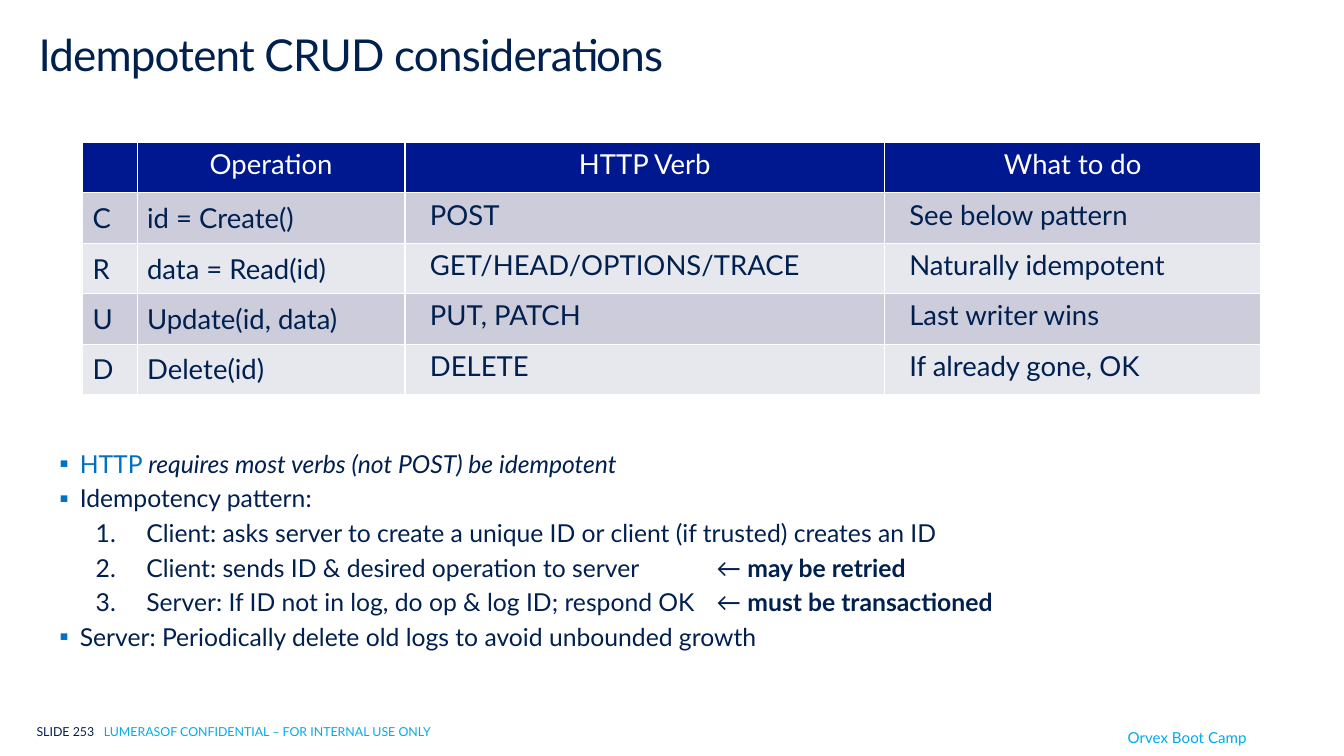
from dataclasses import dataclass

from lxml import etree
from pptx import Presentation
from pptx.dml.color import RGBColor
from pptx.enum.text import MSO_ANCHOR, MSO_AUTO_SIZE, PP_ALIGN
from pptx.oxml.ns import qn
from pptx.util import Cm, Pt

TOP, MID = MSO_ANCHOR.TOP, MSO_ANCHOR.MIDDLE
LEFT, CENTER = PP_ALIGN.LEFT, PP_ALIGN.CENTER
FIXED = MSO_AUTO_SIZE.NONE


@dataclass(frozen=True)
class Theme:
    """Hold the colours, font and type sizes of the slide."""

    font: str = "Lato"
    ink: str = "002050"
    sky: str = "00ABEC"
    link: str = "0070C0"
    mark: str = "0072C6"
    head: str = "00188F"
    white: str = "FFFFFF"
    bands: tuple = ("CCCCDB", "E7E8EE")
    title: float = 32
    cell: float = 20
    body: float = 18
    brand: float = 11
    foot: float = 9


THEME = Theme()

ROWS = (
    ("", "Operation", "HTTP Verb", "What to do"),
    ("C", "id = Create()", "POST", "See below pattern"),
    ("R", "data = Read(id)", "GET/HEAD/OPTIONS/TRACE", "Naturally idempotent"),
    ("U", "Update(id, data)", "PUT, PATCH", "Last writer wins"),
    ("D", "Delete(id)", "DELETE", "If already gone, OK"),
)
WIDTHS = (1.4, 6.88, 12.32, 9.68)

BOLD = {"bold": True}
POINTS = (
    (0, ("HTTP", {"color": THEME.link}),
     (" requires most verbs (not POST) be idempotent", {"italic": True})),
    (0, ("Idempotency pattern:", {})),
    (1, ("Client: asks server to create a unique ID or client (if trusted) creates an ID", {})),
    (1, ("Client: sends ID & desired operation to server\t← ", {}), ("may be retried", BOLD)),
    (1, ("Server: If ID not in log, do op & log ID; respond OK\t← ", {}),
     ("must be transactioned", BOLD)),
    (0, ("Server: Periodically delete old logs to avoid unbounded growth", {})),
)
INDENTS = ((0.53, 0.53), (2.24, 1.3))
STOPS = (14.65, 16.89)


def assign(item, values):
    """Set each attribute in the dict on the item."""
    for name, value in values.items():
        setattr(item, name, value)


def place(shape, box):
    """Move a shape to a box given in centimetres."""
    assign(shape, dict(zip(("left", "top", "width", "height"), map(Cm, box))))


def inset(left, top, right, bottom):
    """Return the four margins as format values."""
    return {"margin_left": Cm(left), "margin_top": Cm(top),
            "margin_right": Cm(right), "margin_bottom": Cm(bottom)}


def write(para, text, size, color=THEME.ink, **style):
    """Add a formatted run to a paragraph."""
    run = para.add_run()
    run.text = text
    assign(run.font, {"name": THEME.font, "size": Pt(size), **style})
    run.font.color.rgb = RGBColor.from_string(color)
    return run


def child(parent, tag, **values):
    """Append a drawing element with its attributes."""
    return etree.SubElement(parent, qn(tag), values)


def add_stops(props, stops):
    """Add left tab stops to paragraph properties."""
    tabs = child(props, "a:tabLst")
    for stop in stops:
        child(tabs, "a:tab", pos=str(Cm(stop)), algn="l")


def add_title(slide, box):
    """Fill the title placeholder."""
    shape = slide.shapes.title
    place(shape, box)
    frame = shape.text_frame
    assign(frame, {"word_wrap": True, "auto_size": FIXED, "vertical_anchor": TOP,
                   **inset(0, 0.13, 0.25, 0.13)})
    para = frame.paragraphs[0]
    assign(para, {"alignment": LEFT, "line_spacing": 0.9})
    run = write(para, "Idempotent CRUD considerations", THEME.title)
    run.font._element.set("spc", "-60")


def add_edges(cell):
    """Draw thin white lines round a table cell."""
    props = cell._tc.get_or_add_tcPr()
    for side in "LRTB":
        line = child(props, f"a:ln{side}", w=str(Pt(1)))
        child(child(line, "a:solidFill"), "a:srgbClr", val=THEME.white)


def add_grid(slide, box):
    """Build the table of operations and verbs."""
    grid = slide.shapes.add_table(len(ROWS), len(WIDTHS), *map(Cm, box)).table
    for col, width in zip(grid.columns, WIDTHS):
        col.width = Cm(width)
    for r, row in enumerate(ROWS):
        grid.rows[r].height = Cm(box[3] / len(ROWS))
        for c, text in enumerate(row):
            cell = grid.cell(r, c)
            pad = 0.25 if c < 2 else 0.64
            assign(cell, {"vertical_anchor": MID if r and c < 2 else TOP,
                          **inset(pad, 0.13, pad, 0.13)})
            add_edges(cell)
            cell.fill.solid()
            fill = THEME.bands[(r - 1) % 2] if r else THEME.head
            cell.fill.fore_color.rgb = RGBColor.from_string(fill)
            para = cell.text_frame.paragraphs[0]
            para.alignment = LEFT if r else CENTER
            if text:
                write(para, text, THEME.cell, THEME.ink if r else THEME.white)


def add_mark(para, level):
    """Give a paragraph its indent and its bullet or number."""
    props = para._p.get_or_add_pPr()
    left, hang = INDENTS[level]
    props.set("marL", str(Cm(left)))
    props.set("indent", str(-Cm(hang)))
    if level:
        child(props, "a:buFont", typeface=THEME.font)
        child(props, "a:buAutoNum", type="arabicPeriod")
        add_stops(props, STOPS)
    else:
        child(child(props, "a:buClr"), "a:srgbClr", val=THEME.mark)
        child(props, "a:buFont", typeface=THEME.font)
        child(props, "a:buChar", char="▪")


def add_points(slide, box):
    """Fill the body placeholder with the list."""
    shape = slide.placeholders[1]
    place(shape, box)
    frame = shape.text_frame
    assign(frame, {"word_wrap": True, "auto_size": FIXED, "vertical_anchor": TOP,
                   **inset(0.25, 0.13, 0.25, 0.13)})
    for i, (level, *runs) in enumerate(POINTS):
        para = frame.add_paragraph() if i else frame.paragraphs[0]
        add_mark(para, level)
        assign(para, {"level": level, "alignment": LEFT, "space_after": Pt(0),
                      "space_before": Pt(3.6 if i else 0)})
        for text, style in runs:
            write(para, text, THEME.body, **style)


def add_note(slide, box, margins, size, runs, stops=()):
    """Add one line of footer text."""
    shape = slide.shapes.add_textbox(*map(Cm, box))
    frame = shape.text_frame
    assign(frame, {"word_wrap": True, **inset(*margins)})
    para = frame.paragraphs[0]
    if stops:
        add_stops(para._p.get_or_add_pPr(), stops)
        para.line_spacing = 0.9
    for text, color in runs:
        write(para, text, size, color)


def main():
    """Build the slide and save it."""
    deck = Presentation()
    assign(deck, {"slide_width": Cm(34.54), "slide_height": Cm(19.43)})
    slide = deck.slides.add_slide(deck.slide_layouts[1])
    add_title(slide, (0.99, 0.74, 33.55, 1.55))
    add_grid(slide, (2.13, 3.66, sum(WIDTHS), 6.48))
    add_points(slide, (1.27, 11.4, 30.81, 7.39))
    add_note(slide, (0.94, 18.49, 17.42, 0.84), (0, 0.41, 0.51, 0.41), THEME.foot,
             (("SLIDE 253\t", THEME.ink),
              ("LUMERASOF CONFIDENTIAL – FOR INTERNAL USE ONLY", THEME.sky)), (1.73,))
    add_note(slide, (28.73, 18.49, 4.01, 0.94), (0.25,) * 4, THEME.brand,
             (("Orvex Boot Camp", THEME.sky),))
    deck.save("out.pptx")


if __name__ == "__main__":
    main()
